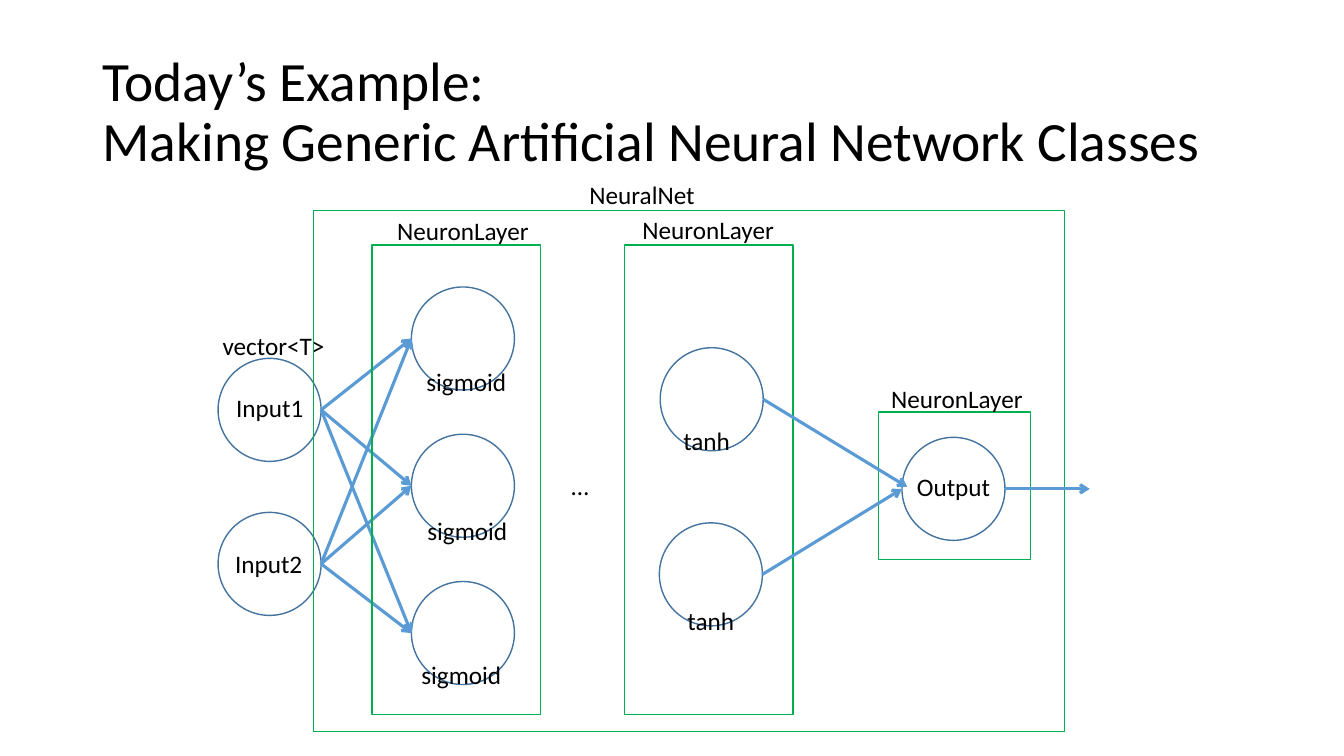
from lxml.etree import SubElement
from pptx import Presentation
from pptx.dml.color import RGBColor
from pptx.enum.shapes import MSO_CONNECTOR, MSO_SHAPE
from pptx.enum.text import MSO_ANCHOR, MSO_AUTO_SIZE, PP_ALIGN
from pptx.oxml.ns import qn
from pptx.util import Pt

FONT = "Calibri"
BLACK, WHITE = "000000", "FFFFFF"
RING, ARROW, FRAME = "43739E", "5B9BD5", "00B050"
DIAMETER = 73.6
LABEL_HEIGHT = 29
LABEL_WIDTHS = {"Input1": 63.4, "Input2": 63.4, "sigmoid": 72, "tanh": 48.2,
                "Output": 67.7, "NeuronLayer": 109.4, "NeuralNet": 90.7,
                "vector<T>": 87.8, "…": 27.4}


def color(hex_string):
    return RGBColor.from_string(hex_string)


def style_text(paragraph, size):
    for run in paragraph.runs:
        run.font.name = FONT
        run.font.size = Pt(size)
        run.font.color.rgb = color(BLACK)


def add_title(slide, left, top, width, height):
    title = slide.shapes.title
    title.left, title.top, title.width, title.height = map(Pt, (left, top, width, height))
    frame = title.text_frame
    frame.text = "Today’s Example:\vMaking Generic Artificial Neural Network Classes"
    frame.word_wrap = True
    frame.auto_size = MSO_AUTO_SIZE.NONE
    frame.vertical_anchor = MSO_ANCHOR.MIDDLE
    heading = frame.paragraphs[0]
    heading.alignment = PP_ALIGN.LEFT
    heading.line_spacing = 0.9
    style_text(heading, 39.6)


def add_label(slide, left, top, caption):
    label = slide.shapes.add_textbox(Pt(left), Pt(top), Pt(LABEL_WIDTHS[caption]), Pt(LABEL_HEIGHT))
    frame = label.text_frame
    frame.text = caption
    frame.word_wrap = False
    frame.auto_size = MSO_AUTO_SIZE.SHAPE_TO_FIT_TEXT
    style_text(frame.paragraphs[0], 18)


def add_outline(slide, preset, left, top, width, height, line, fill=None):
    outline = slide.shapes.add_shape(preset, Pt(left), Pt(top), Pt(width), Pt(height))
    outline.shadow.inherit = False
    if fill:
        outline.fill.solid()
        outline.fill.fore_color.rgb = color(fill)
    else:
        outline.fill.background()
    outline.line.color.rgb = color(line)
    outline.line.width = Pt(1)


def add_frame(slide, left, top, width, height, caption, label_dx, label_dy):
    """Class box with its name just above the top edge."""
    add_outline(slide, MSO_SHAPE.RECTANGLE, left, top, width, height, FRAME)
    add_label(slide, left + label_dx, top + label_dy, caption)


def add_neuron(slide, left, top, caption, label_dx, label_dy):
    """Circle with a caption; returns its input and output points."""
    add_outline(slide, MSO_SHAPE.OVAL, left, top, DIAMETER, DIAMETER, RING, WHITE)
    add_label(slide, left + label_dx, top + label_dy, caption)
    middle = top + DIAMETER / 2
    return (left, middle), (left + DIAMETER, middle)


def add_arrow(slide, start, end):
    arrow = slide.shapes.add_connector(MSO_CONNECTOR.STRAIGHT, *map(Pt, start + end))
    arrow.line.color.rgb = color(ARROW)
    arrow.line.width = Pt(2.25)
    SubElement(arrow.line._get_or_add_ln(), qn("a:tailEnd"), type="arrow")
    SubElement(arrow._element.spPr, qn("a:effectLst"))


def add_network(slide, left, top, width, height):
    # Input vector
    inputs = [add_neuron(slide, left - 68.2, top + y, caption, dx, dy)
              for y, caption, dx, dy in ((105.5, "Input1", 5.8, 20.9),
                                         (215.5, "Input2", 5, 22.3))]
    add_label(slide, left - 72.1, top + 82.1, "vector<T>")

    # Sigmoid layer, fully connected to the inputs
    sigmoids = [add_neuron(slide, left + 69.9, top + 54.5 + 105.2 * row, "sigmoid", dx, dy)
                for row, (dx, dy) in enumerate(((3.6, 53.3), (4.3, 54), (0, 51.8)))]
    for _, source in inputs:
        for target, _ in sigmoids:
            add_arrow(slide, source, target)
    add_frame(slide, left + 41.8, top + 24.4, 120.4, 335.3, "NeuronLayer", 10.8, -24.5)

    # Whole net and omitted layers
    add_frame(slide, left, top, width, height, "NeuralNet", 190, -25.9)
    add_label(slide, left + 177, top + 182.1, "…")

    # Tanh layer
    tanhs = [add_neuron(slide, left + x, top + y, "tanh", dx, dy)
             for x, y, dx, dy in ((247.6, 97.9, 9.4, 51.8), (247, 223, 13, 55.4))]
    add_frame(slide, left + 222, top + 24.4, 120.4, 335.3, "NeuronLayer", 5.8, -25.2)

    # Output layer
    (in_x, in_y), (out_x, out_y) = add_neuron(
        slide, left + 420.3, top + 161.9, "Output", 3.6, 20.9)
    add_frame(slide, left + 403.3, top + 143.8, 109, 105.3, "NeuronLayer", 2.2, -23.8)
    add_arrow(slide, (out_x, out_y), (out_x + 60.5, out_y))
    upper, lower = (source for _, source in tanhs)
    add_arrow(slide, upper, (in_x + 3.7, in_y - 1.4))
    add_arrow(slide, lower, (in_x, in_y))


def main():
    deck = Presentation()
    deck.slide_width, deck.slide_height = Pt(960), Pt(540)
    slide = deck.slides.add_slide(deck.slide_layouts[5])
    add_title(slide, 66, 28.75, 828, 104.4)
    add_network(slide, 224, 150.5, 536.4, 372.2)
    deck.save("out.pptx")


if __name__ == "__main__":
    main()
